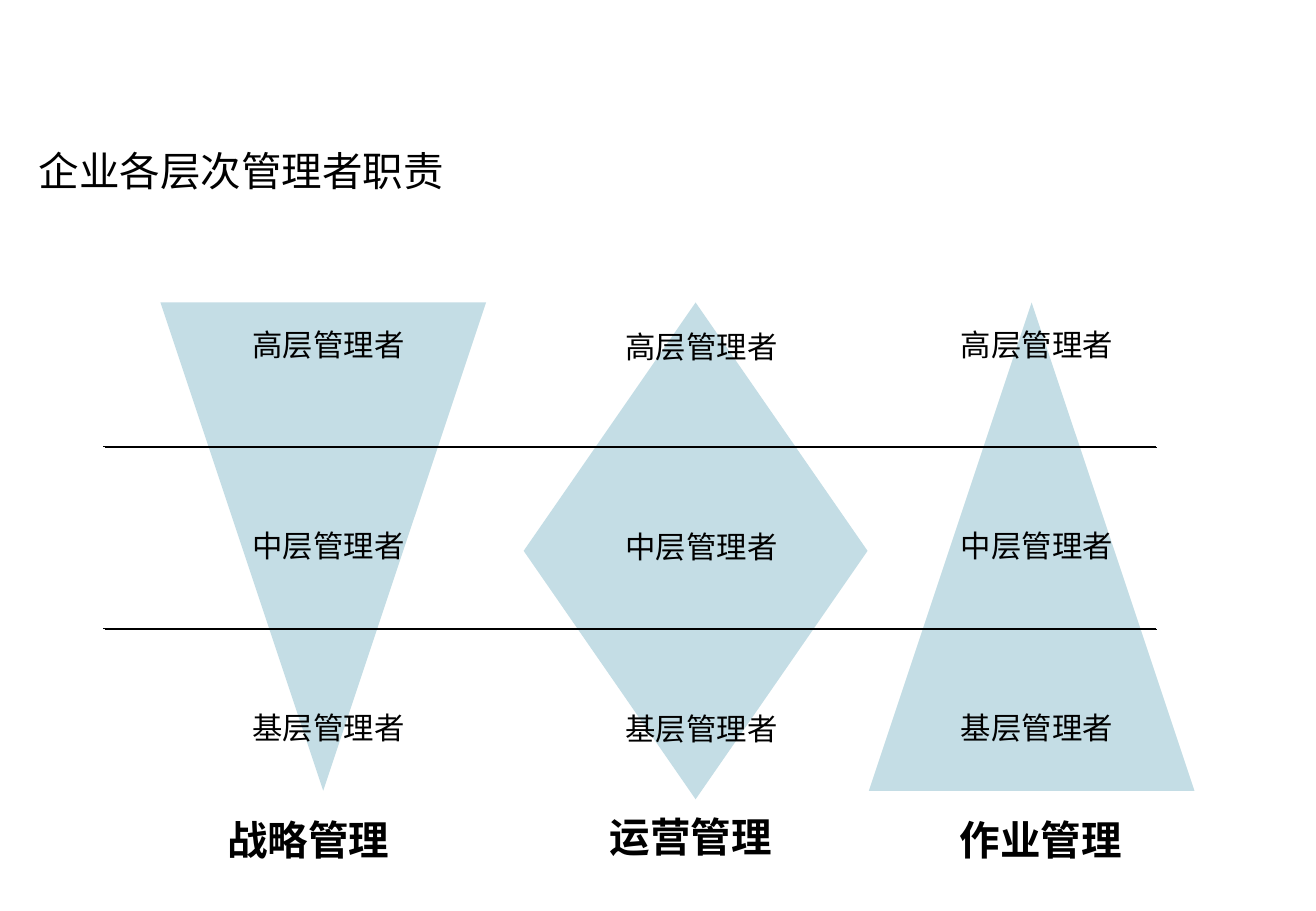
from lxml.etree import SubElement
from pptx import Presentation
from pptx.dml.color import RGBColor
from pptx.enum.shapes import MSO_CONNECTOR as CONNECTOR, MSO_SHAPE as SHAPE
from pptx.enum.text import MSO_ANCHOR as ANCHOR, MSO_AUTO_SIZE as AUTO_SIZE, PP_ALIGN as ALIGN
from pptx.oxml.ns import qn
from pptx.util import Emu, Pt

PX = 9144
FONT = "Noto Sans CJK SC"
BLACK, PALE_BLUE = "000000", "C4DDE5"
LEVELS = {"高层管理者": 15, "中层管理者": 180, "基层管理者": 330}
COLUMNS = [
    {"name": "战略管理", "kind": SHAPE.ISOSCELES_TRIANGLE, "flip": True,
     "box": (132, 249, 268, 402), "label": (198, 264), "caption": (177, 666)},
    {"name": "运营管理", "kind": SHAPE.DIAMOND, "flip": False,
     "box": (431, 249, 283, 409), "label": (505, 265), "caption": (492, 664)},
    {"name": "作业管理", "kind": SHAPE.ISOSCELES_TRIANGLE, "flip": False,
     "box": (715, 249, 268, 402), "label": (781, 264), "caption": (780, 666)},
]


def px(*lengths):
    """Turn whole pixels into EMU."""
    return [Emu(length * PX) for length in lengths]


def color(value):
    """Turn a hex string into a colour."""
    return RGBColor.from_string(value)


def write(shape, text, size, bold=False, wrap=False):
    """Set left-aligned black text on a shape."""
    frame = shape.text_frame
    frame_format = {"word_wrap": wrap, "vertical_anchor": ANCHOR.TOP,
                    "auto_size": AUTO_SIZE.SHAPE_TO_FIT_TEXT}
    for name, value in frame_format.items():
        setattr(frame, name, value)
    paragraph = frame.paragraphs[0]
    paragraph.alignment = ALIGN.LEFT
    run = paragraph.add_run()
    run.text = text
    for name, value in {"name": FONT, "size": Pt(size), "bold": bold}.items():
        setattr(run.font, name, value)
    run.font.color.rgb = color(BLACK)
    SubElement(run.font._element, qn("a:ea"), typeface=FONT)


def add_title(slide, box, text):
    """Place the title placeholder in its box."""
    title = slide.shapes.title
    for name, value in zip(("left", "top", "width", "height"), px(*box)):
        setattr(title, name, value)
    write(title, text, 24, wrap=True)


def add_figure(slide, column):
    """Draw the figure that shows how duties spread over the levels."""
    figure = slide.shapes.add_shape(column["kind"], *px(*column["box"]))
    figure.shadow.inherit = False
    figure.fill.solid()
    figure.fill.fore_color.rgb = color(PALE_BLUE)
    figure.line.fill.background()
    if column["flip"]:
        figure.element.spPr.xfrm.set("flipV", "1")


def add_divider(slide, left, right, top):
    """Draw a thin level line with a hard offset shadow."""
    line = slide.shapes.add_connector(CONNECTOR.STRAIGHT, *px(left, top, right, top))
    line.line.color.rgb = color(BLACK)
    line.line.width = Pt(0.25)
    effects = SubElement(line.element.spPr, qn("a:effectLst"))
    shadow = SubElement(effects, qn("a:outerShdw"), blurRad="0", dist=str(Pt(1.4)),
                        dir="2700000", algn="ctr", rotWithShape="0")
    SubElement(shadow, qn("a:srgbClr"), val=BLACK)


def add_labels(slide, column):
    """Write the three levels and the caption of a column."""
    left, top = column["label"]
    for level, offset in LEVELS.items():
        write(slide.shapes.add_textbox(*px(left, top + offset - 15, 146, 40)), level, 18)
    caption = slide.shapes.add_textbox(*px(*column["caption"], 156, 50))
    write(caption, column["name"], 24, bold=True)


def main():
    """Build the slide and save it."""
    presentation = Presentation()
    presentation.slide_width, presentation.slide_height = px(1083, 750)
    slide = presentation.slides.add_slide(presentation.slide_layouts[5])
    add_title(slide, (22, 115, 441, 50), "企业各层次管理者职责")
    for column in COLUMNS:
        add_figure(slide, column)
    for top in (367, 517):
        add_divider(slide, 85, 951, top)
    for column in COLUMNS:
        add_labels(slide, column)
    presentation.save("out.pptx")


if __name__ == "__main__":
    main()
